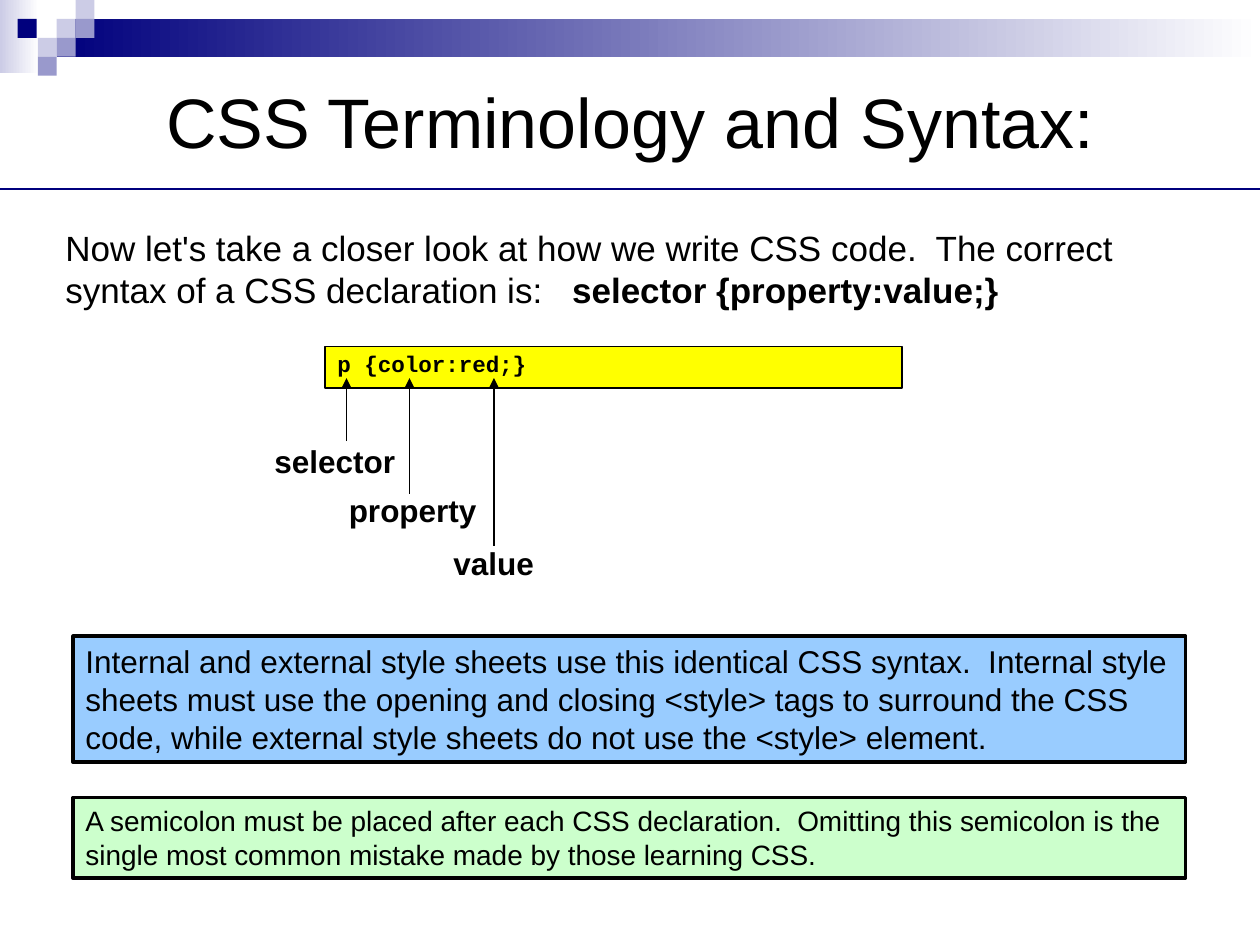
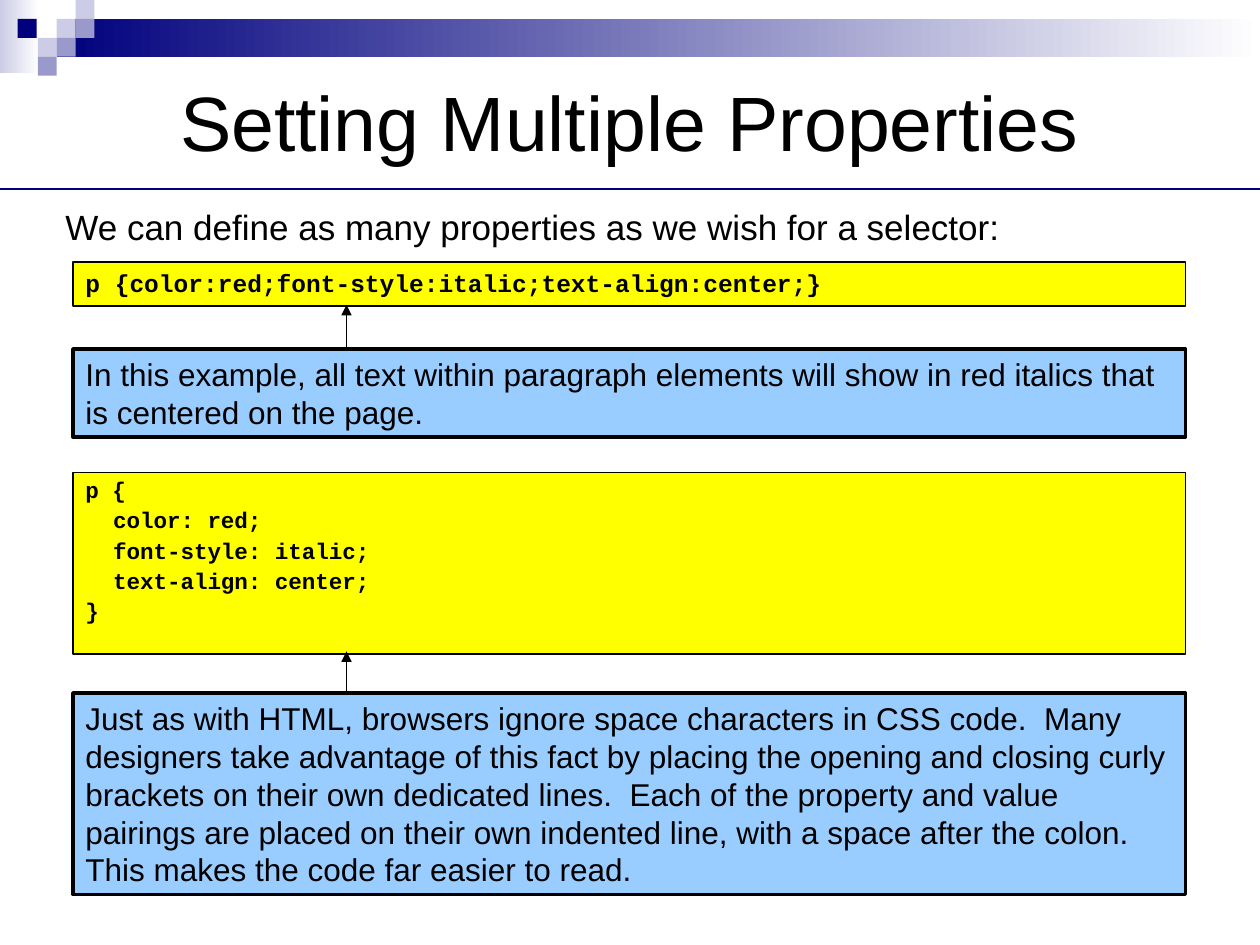
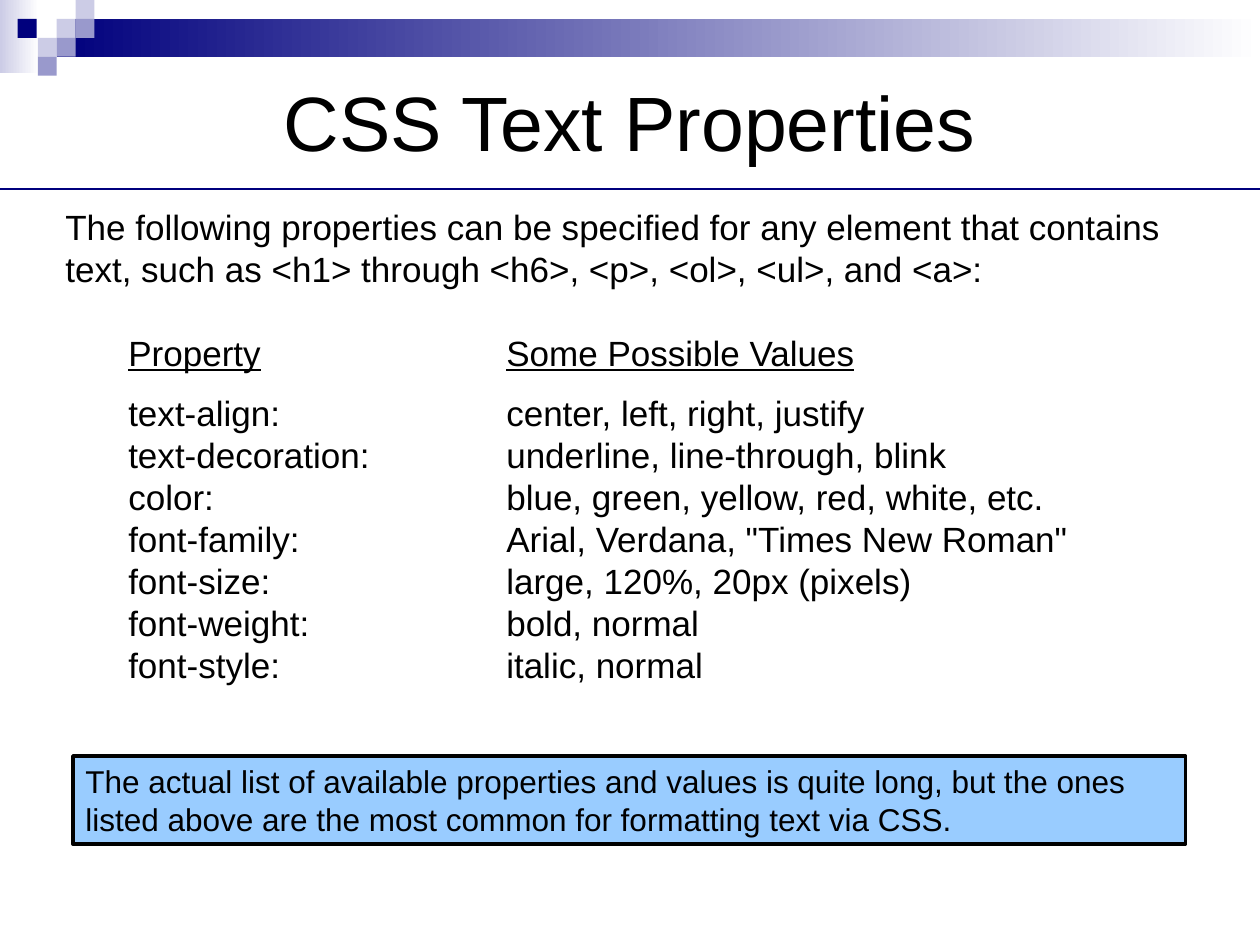
"""Build three slides on CSS syntax, multiple properties and text properties."""
from dataclasses import dataclass

from lxml import etree
from pptx import Presentation
from pptx.dml.color import RGBColor
from pptx.enum.shapes import MSO_CONNECTOR, MSO_SHAPE
from pptx.enum.text import MSO_ANCHOR, PP_ALIGN
from pptx.oxml.ns import qn
from pptx.util import Inches, Pt

RECTANGLE = MSO_SHAPE.RECTANGLE
STRAIGHT = MSO_CONNECTOR.STRAIGHT
TOP, MIDDLE = MSO_ANCHOR.TOP, MSO_ANCHOR.MIDDLE
LEFT, CENTER = PP_ALIGN.LEFT, PP_ALIGN.CENTER
TITLE_ONLY = 5


@dataclass(frozen=True)
class Theme:
    """Colours, fonts and type sizes of the deck."""
    ink: RGBColor = RGBColor.from_string("000000")
    paper: RGBColor = RGBColor.from_string("FFFFFF")
    navy: RGBColor = RGBColor.from_string("00007D")
    lilac: RGBColor = RGBColor.from_string("9999CC")
    pale: RGBColor = RGBColor.from_string("CCCCE6")
    code_fill: RGBColor = RGBColor.from_string("FFFF00")
    note_fill: RGBColor = RGBColor.from_string("99CCFF")
    tip_fill: RGBColor = RGBColor.from_string("CCFFCC")
    sans: str = "Arial"
    mono: str = "Courier New"
    title: float = 44
    long_title: float = 40
    body: float = 20
    note: float = 18
    tip: float = 16
    code_line: float = 14
    code: float = 12.9
    thin: float = 0.75
    rule: float = 1.25
    frame: float = 2


def apply(target, values):
    """Set each named attribute on the target."""
    for name, value in values.items():
        setattr(target, name, value)


class Deck:
    """Hold the theme and the current slide, and draw elements on it."""

    def __init__(self, theme):
        """Start an empty 10 by 7.5 inch presentation."""
        self.theme = theme
        self.prs = Presentation()
        apply(self.prs, {"slide_width": Inches(10), "slide_height": Inches(7.5)})

    def start_slide(self, title, size):
        """Add a slide with its band, title and rule."""
        self.slide = self.prs.slides.add_slide(self.prs.slide_layouts[TITLE_ONLY])
        self.band()
        heading = self.slide.shapes.title
        bounds = {"left": 0.5, "top": 0.42, "width": 9, "height": 1.08}
        apply(heading, {side: Inches(length) for side, length in bounds.items()})
        self.fill_text(heading.text_frame, [title], {"size": Pt(size)},
                       {"alignment": CENTER}, MIDDLE)
        self.line((0, 1.5), (10, 1.5), self.theme.navy, self.theme.rule)

    def band(self):
        """Draw the fading bars and the checker squares."""
        theme = self.theme
        for bounds, colour in (((0, 0, 0.31, 0.58), theme.pale),
                               ((0.45, 0.15, 9.55, 0.3), theme.navy)):
            fill = self.rectangle(bounds).fill
            fill.gradient()
            fill.gradient_angle = 0
            for stop, position, shade in zip(fill.gradient_stops, (0, 1),
                                             (colour, theme.paper)):
                stop.position = position
                stop.color.rgb = shade
        for left, top, colour in ((0.45, 0.15, theme.pale), (0.6, 0, theme.pale),
                                  (0.6, 0.15, theme.lilac), (0.3, 0.3, theme.pale),
                                  (0.14, 0.15, theme.navy), (0.45, 0.3, theme.lilac),
                                  (0.3, 0.45, theme.lilac)):
            self.rectangle((left, top, 0.15, 0.15), colour)

    def rectangle(self, bounds, colour=None, outline=None):
        """Draw a flat rectangle, outlined when a line width is given."""
        box = self.slide.shapes.add_shape(RECTANGLE, *map(Inches, bounds))
        box.shadow.inherit = False
        if colour is not None:
            box.fill.solid()
            box.fill.fore_color.rgb = colour
        if outline:
            box.line.color.rgb = self.theme.ink
            box.line.width = Pt(outline)
        else:
            box.line.fill.background()
        return box

    def line(self, start, end, colour, width, arrow=False):
        """Draw a straight line, with an arrowhead at its end if asked."""
        stroke = self.slide.shapes.add_connector(
            STRAIGHT, *map(Inches, (*start, *end)))
        stroke.line.color.rgb = colour
        stroke.line.width = Pt(width)
        properties = stroke.element.spPr
        if arrow:
            etree.SubElement(properties.get_or_add_ln(), qn("a:tailEnd"),
                             type="triangle")
        etree.SubElement(properties, qn("a:effectLst"))

    def arrow_up(self, x, bottom, top):
        """Draw a thin vertical arrow pointing up."""
        self.line((x, bottom), (x, top), self.theme.ink, self.theme.thin, True)

    def fill_text(self, frame, lines, font, paragraph_format=None, anchor=TOP):
        """Fill a frame with lines, each a string or a list of (text, font) runs."""
        apply(frame, {"word_wrap": True, "vertical_anchor": anchor})
        base = {"name": self.theme.sans, "bold": False, **font}
        for index, line in enumerate(lines):
            paragraph = frame.add_paragraph() if index else frame.paragraphs[0]
            apply(paragraph, {"alignment": LEFT, **(paragraph_format or {})})
            for text, extra in [(line, {})] if isinstance(line, str) else line:
                run = paragraph.add_run()
                run.text = text
                apply(run.font, {**base, **extra})
                run.font.color.rgb = self.theme.ink
        return frame.paragraphs

    def text(self, bounds, lines, size, bold=False):
        """Add a plain text box."""
        box = self.slide.shapes.add_textbox(*map(Inches, bounds))
        return self.fill_text(box.text_frame, lines, {"size": Pt(size), "bold": bold})

    def note(self, top, height, text, colour, size):
        """Add a framed full-width remark."""
        box = self.rectangle((0.58, top, 8.83, height), colour, self.theme.frame)
        self.fill_text(box.text_frame, [text], {"size": Pt(size)},
                       {"space_before": Pt(6), "space_after": Pt(6)})

    def code(self, bounds, lines, size, spacing=0.9):
        """Add a code box and return its paragraphs."""
        box = self.rectangle(bounds, self.theme.code_fill, self.theme.thin)
        return self.fill_text(box.text_frame, lines,
                              {"name": self.theme.mono, "size": Pt(size), "bold": True},
                              {"space_before": Pt(3.5), "line_spacing": spacing})

    def columns(self, bounds, headings, rows, tab):
        """Add two columns of text under underlined headings."""
        underlined = {"underline": True}
        first, second = headings
        header = [(first, underlined), ("\t", {}), (second, underlined)]
        paragraphs = self.text(bounds, [header, *map("\t".join, rows)],
                               self.theme.body)
        paragraphs[0].space_after = Pt(10.5)
        for paragraph in paragraphs:
            stops = etree.SubElement(paragraph._p.get_or_add_pPr(), qn("a:tabLst"))
            etree.SubElement(stops, qn("a:tab"), pos=str(Inches(tab)), algn="l")


def syntax_slide(deck):
    """Show the parts of a CSS declaration."""
    theme = deck.theme
    deck.start_slide("CSS Terminology and Syntax:", theme.long_title)
    deck.text((0.42, 1.75, 9.08, 0.75), [[
        ("Now let's take a closer look at how we write CSS code.  The correct "
         "syntax of a CSS declaration is:   ", {}),
        ("selector {property:value;}", {"bold": True})]], theme.body)
    deck.code((2.58, 2.75, 4.58, 0.33), ["p {color:red;}"], theme.code)
    for part, left, top, width, arrow_x, arrow_bottom in (
            ("selector", 2.08, 3.46, 1.17, 2.75, 3.5),
            ("property", 2.67, 3.85, 1.33, 3.25, 3.92),
            ("value", 3.5, 4.27, 0.92, 3.92, 4.33)):
        deck.text((left, top, width, 0.4), [part], theme.note, bold=True)
        deck.arrow_up(arrow_x, arrow_bottom, 3)
    deck.note(5.05, 1,
              "Internal and external style sheets use this identical CSS syntax.  "
              "Internal style sheets must use the opening and closing <style> tags "
              "to surround the CSS code, while external style sheets do not use "
              "the <style> element.", theme.note_fill, theme.note)
    deck.note(6.33, 0.64,
              "A semicolon must be placed after each CSS declaration.  Omitting "
              "this semicolon is the single most common mistake made by those "
              "learning CSS.", theme.tip_fill, theme.tip)


def multiple_slide(deck):
    """Show several properties in one declaration block."""
    theme = deck.theme
    deck.start_slide("Setting Multiple Properties", theme.title)
    deck.text((0.42, 1.58, 9.08, 0.5),
              ["We can define as many properties as we wish for a selector:"],
              theme.body)
    deck.code((0.58, 2.08, 8.83, 0.35),
              ["p {color:red;font-style:italic;text-align:center;}"],
              theme.code_line, 1.0)
    deck.note(2.77, 0.7,
              "In this example, all text within paragraph elements will show in "
              "red italics that is centered on the page.",
              theme.note_fill, theme.note)
    block = deck.code((0.58, 3.75, 8.83, 1.44),
                      ["p {", "color: red;", "font-style: italic;",
                       "text-align: center;", "}"], theme.code)
    for declaration in block[1:-1]:
        declaration._p.get_or_add_pPr().set("marL", str(Inches(0.22)))
    deck.note(5.5, 1.6,
              "Just as with HTML, browsers ignore space characters in CSS code.  "
              "Many designers take advantage of this fact by placing the opening "
              "and closing curly brackets on their own dedicated lines.  Each of "
              "the property and value pairings are placed on their own indented "
              "line, with a space after the colon.  This makes the code far easier "
              "to read.", theme.note_fill, theme.note)
    for bottom, top in ((2.75, 2.42), (5.5, 5.17)):
        deck.arrow_up(2.75, bottom, top)


def text_properties_slide(deck):
    """List common text properties with possible values."""
    theme = deck.theme
    deck.start_slide("CSS Text Properties", theme.title)
    deck.text((0.42, 1.58, 9.08, 0.75),
              ["The following properties can be specified for any element that "
               "contains text, such as <h1> through <h6>, <p>, <ol>, <ul>, and "
               "<a>:"], theme.body)
    deck.columns((0.92, 2.58, 8.67, 2.92), ("Property", "Some Possible Values"), (
        ("text-align:", "center, left, right, justify"),
        ("text-decoration:", "underline, line-through, blink"),
        ("color:", "blue, green, yellow, red, white, etc."),
        ("font-family:", 'Arial, Verdana, "Times New Roman"'),
        ("font-size:", "large, 120%, 20px (pixels)"),
        ("font-weight:", "bold, normal"),
        ("font-style:", "italic, normal")), 3)
    deck.note(6, 0.7,
              "The actual list of available properties and values is quite long, "
              "but the ones listed above are the most common for formatting text "
              "via CSS.", theme.note_fill, theme.note)


def main():
    """Build every slide and save the deck."""
    deck = Deck(Theme())
    for build in (syntax_slide, multiple_slide, text_properties_slide):
        build(deck)
    deck.prs.save("out.pptx")


if __name__ == "__main__":
    main()
